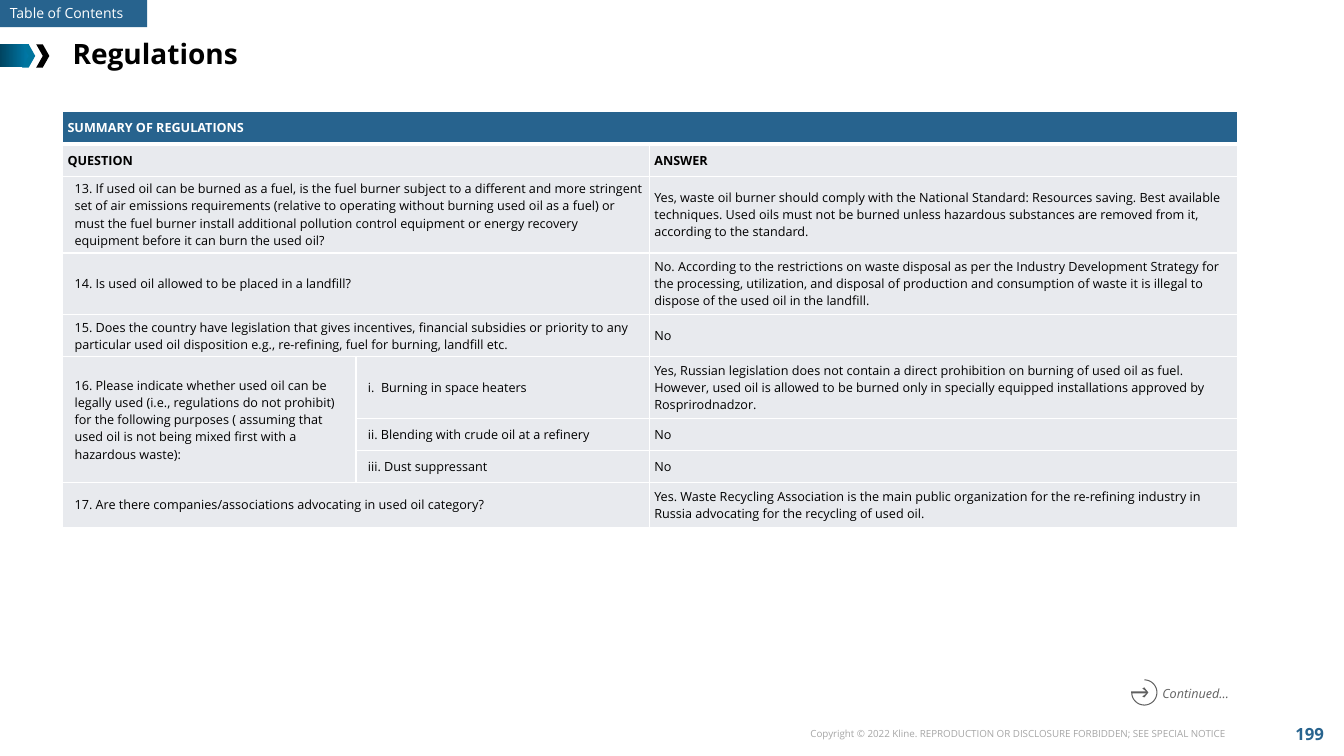
from math import cos, radians, sin

from lxml.etree import SubElement
from pptx import Presentation
from pptx.dml.color import RGBColor
from pptx.enum.shapes import MSO_SHAPE
from pptx.enum.text import MSO_ANCHOR, PP_ALIGN
from pptx.oxml.ns import qn
from pptx.util import Inches, Pt

BLUE = RGBColor(0x27, 0x63, 0x8E)
WHITE = RGBColor(0xFF, 0xFF, 0xFF)
BLACK = RGBColor(0, 0, 0)
CELL_GRAY = RGBColor(0xE8, 0xEA, 0xEE)
COPYRIGHT_GRAY = RGBColor(0xA6, 0xA6, 0xA6)
ICON_GRAY = RGBColor(0x60, 0x60, 0x60)
TEAL = RGBColor(0x00, 0x75, 0x9E)
GRADIENT_ENDS = RGBColor(0x00, 0x44, 0x61), RGBColor(0x00, 0x7B, 0xAA)

# (question, part of the question, answer)
ROWS = [
    ("SUMMARY OF REGULATIONS", "", ""),
    ("QUESTION", "", "ANSWER"),
    ("13. If used oil can be burned as a fuel, is the fuel burner subject to a different and more "
     "stringent set of air emissions requirements (relative to operating without burning used oil "
     "as a fuel) or must the fuel burner install additional pollution control equipment or energy "
     "recovery equipment before it can burn the used oil?", "",
     "Yes, waste oil burner should comply with the National Standard: Resources saving. Best "
     "available techniques. Used oils must not be burned unless hazardous substances are removed "
     "from it, according to the standard."),
    ("14. Is used oil allowed to be placed in a landfill?", "",
     "No. According to the restrictions on waste disposal as per the Industry Development Strategy "
     "for the processing, utilization, and disposal of production and consumption of waste it is "
     "illegal to dispose of the used oil in the landfill."),
    ("15. Does the country have legislation that gives incentives, financial subsidies or priority "
     "to any particular used oil disposition e.g., re-refining, fuel for burning, landfill etc.",
     "", "No"),
    ("16. Please indicate whether used oil can be legally used (i.e., regulations do not prohibit) "
     "for the following purposes ( assuming that used oil is not being mixed first with a "
     "hazardous waste):", "i.  Burning in space heaters",
     "Yes, Russian legislation does not contain a direct prohibition on burning of used oil as "
     "fuel. However, used oil is allowed to be burned only in specially equipped installations "
     "approved by Rosprirodnadzor."),
    ("", "ii. Blending with crude oil at a refinery", "No"),
    ("", "iii. Dust suppressant", "No"),
    ("17. Are there companies/associations advocating in used oil category?", "",
     "Yes. Waste Recycling Association is the main public organization for the re-refining "
     "industry in Russia advocating for the recycling of used oil."),
]


def write(tf, text, size, color, bold=False, italic=False, align=PP_ALIGN.LEFT,
          anchor=MSO_ANCHOR.MIDDLE, wrap=True):
    tf.word_wrap = wrap
    tf.vertical_anchor = anchor
    p = tf.paragraphs[0]
    p.alignment = align
    r = p.add_run()
    r.text = text
    r.font.name = "Open Sans"
    r.font.size = Pt(size)
    r.font.bold = bold
    r.font.italic = italic
    r.font.color.rgb = color


def set_borders(cell, top, bottom):
    """Give a cell white borders; top and bottom are widths in points."""
    tcPr = cell._tc.get_or_add_tcPr()
    for side, width in (("L", 1), ("R", 1), ("T", top), ("B", bottom)):
        ln = SubElement(tcPr, qn(f"a:ln{side}"), w=str(Pt(width)))
        SubElement(SubElement(ln, qn("a:solidFill")), qn("a:srgbClr"), val=str(WHITE))


prs = Presentation()
prs.slide_width = Inches(13.33)
prs.slide_height = Inches(7.5)
s = prs.slides.add_slide(prs.slide_layouts[5])

# Title
title = s.shapes.title
title.left, title.top = Inches(0.62), Inches(0.31)
title.width, title.height = Inches(12), Inches(0.44)
write(title.text_frame, "Regulations", 20, BLACK, bold=True)

# Marks at the left edge and the contents tab
marks = []
for kind, x, y, w, h, color in (
    (MSO_SHAPE.RECTANGLE, 0, 0.44, 0.29, 0.23, TEAL),
    (MSO_SHAPE.CHEVRON, 0.22, 0.44, 0.13, 0.23, TEAL),
    (MSO_SHAPE.CHEVRON, 0.36, 0.44, 0.13, 0.23, BLACK),
    (MSO_SHAPE.RECTANGLE, 0, 0, 1.46, 0.27, BLUE),
):
    sp = s.shapes.add_shape(kind, Inches(x), Inches(y), Inches(w), Inches(h))
    sp.shadow.inherit = False
    sp.fill.solid()
    sp.fill.fore_color.rgb = color
    sp.line.fill.background()
    marks.append(sp)

bar, contents_tab = marks[0], marks[-1]
bar.fill.gradient()
bar.fill.gradient_angle = 0
for stop, color in zip(bar.fill.gradient_stops, GRADIENT_ENDS):
    stop.color.rgb = color
write(contents_tab.text_frame, "Table of Contents", 10, WHITE, anchor=MSO_ANCHOR.TOP, wrap=False)

# Table of regulations
frame = s.shapes.add_table(len(ROWS), 3, Inches(0.62), Inches(1.11),
                           Inches(11.65), Inches(0.32 * len(ROWS)))
table = frame.table
table.horz_banding = False
for column, width in zip(table.columns, (2.91, 2.91, 5.83)):
    column.width = Inches(width)
for row in table.rows:
    row.height = Inches(0.32)

table.cell(0, 0).merge(table.cell(0, 2))
table.cell(5, 0).merge(table.cell(7, 0))
for i in (1, 2, 3, 4, 8):
    table.cell(i, 0).merge(table.cell(i, 1))

for i, texts in enumerate(ROWS):
    for j, text in enumerate(texts):
        cell = table.cell(i, j)
        set_borders(cell, top=3 if i == 1 else 1, bottom=3 if i == 0 else 1)
        cell.fill.solid()
        cell.fill.fore_color.rgb = BLUE if i == 0 else CELL_GRAY
        indented = i > 1 and j < 2
        cell.margin_left = Inches(0.12 if indented else 0.05)
        cell.margin_right = cell.margin_top = cell.margin_bottom = Inches(0.04 if indented else 0.05)
        cell.vertical_anchor = MSO_ANCHOR.MIDDLE
        if text:
            write(cell.text_frame, text, 9, WHITE if i == 0 else BLACK, bold=i < 2)
            cell.text_frame.word_wrap = None
        else:
            cell.text_frame.paragraphs[0].font.size = Pt(9)

# Continuation icon: a three-quarter ring with an arrow pointing inwards
cx, cy = 11.35, 6.87
outer, inner = [
    [(cx + radius * cos(radians(a)), cy + radius * sin(radians(a))) for a in range(-90, 181, 6)]
    for radius in (0.13, 0.12)
]
arrow = [(11.22, 6.86), (11.37, 6.86), (11.33, 6.83), (11.35, 6.82), (11.39, 6.87),
         (11.35, 6.92), (11.33, 6.91), (11.37, 6.88), (11.23, 6.88)]
outline = [(Inches(x), Inches(y)) for x, y in outer + arrow + inner[::-1]]
builder = s.shapes.build_freeform(*outline[0])
builder.add_line_segments(outline[1:], close=True)
icon = builder.convert_to_shape()
icon.shadow.inherit = False
icon.fill.solid()
icon.fill.fore_color.rgb = ICON_GRAY
icon.line.fill.background()

# Continuation note and footer
for x, y, w, h, text, size, color, style in (
    (11.43, 6.74, 0.98, 0.27, "Continued…", 9, ICON_GRAY, {"italic": True}),
    (7.71, 7.17, 4.54, 0.22,
     "Copyright © 2022 Kline. REPRODUCTION OR DISCLOSURE FORBIDDEN; SEE SPECIAL NOTICE",
     7, COPYRIGHT_GRAY, {"align": PP_ALIGN.RIGHT, "anchor": MSO_ANCHOR.TOP, "wrap": False}),
    (12.68, 7.07, 0.62, 0.43, "199", 12, BLUE, {"bold": True, "align": PP_ALIGN.CENTER}),
):
    box = s.shapes.add_textbox(Inches(x), Inches(y), Inches(w), Inches(h))
    write(box.text_frame, text, size, color, **style)

prs.save("out.pptx")
